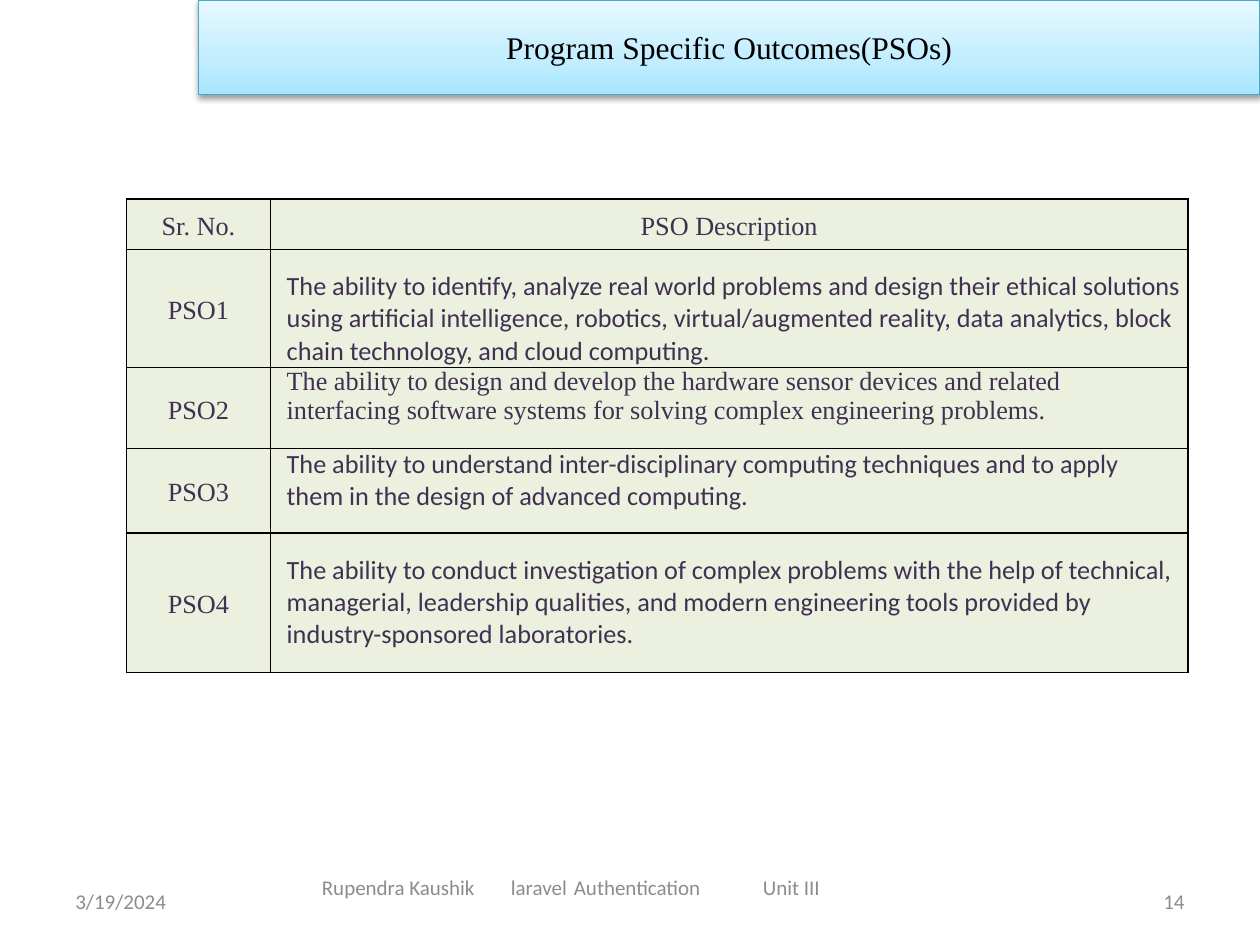
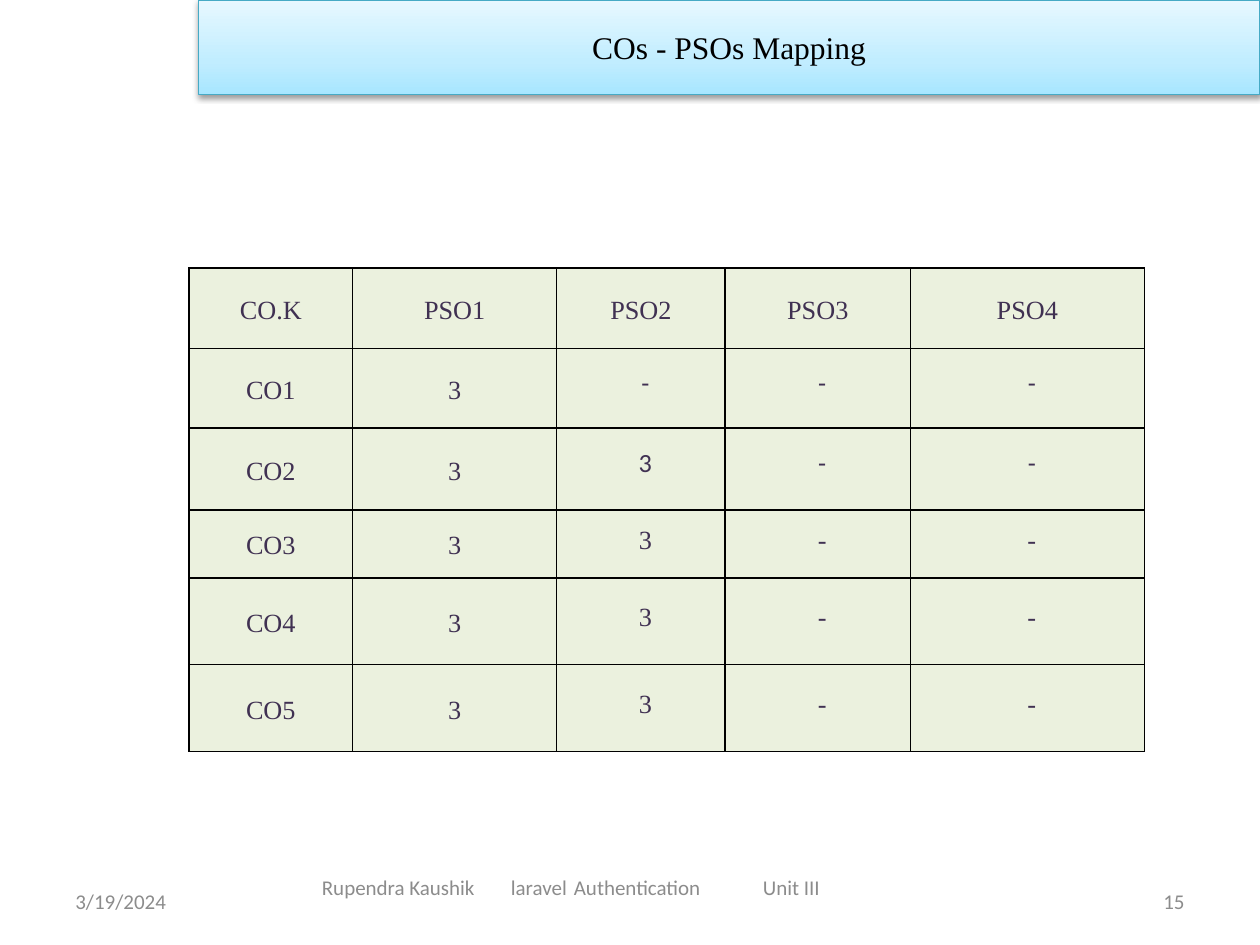
from copy import deepcopy

from lxml.etree import SubElement
from pptx import Presentation
from pptx.dml.color import RGBColor
from pptx.enum.shapes import MSO_SHAPE
from pptx.enum.text import MSO_ANCHOR, PP_ALIGN
from pptx.oxml.ns import qn
from pptx.util import Cm, Pt

SERIF, SANS = "Times New Roman", "Calibri"
DATE = "3/19/2024"
FOOTER = "Rupendra Kaushik\tlaravel\tAuthentication\tUnit III"
FOOTER_TABS = (6.59, 8.02, 12.66)

OUTCOMES_TITLE = "Program Specific Outcomes(PSOs)"
OUTCOMES_HEADER = ("Sr. No.", "PSO Description")
OUTCOMES = [
    ("PSO1", "The ability to identify, analyze real world problems and design their ethical "
     "solutions using artificial intelligence, robotics, virtual/augmented reality, "
     "data analytics, block chain technology, and cloud computing.", SANS, 0.43),
    ("PSO2", "The ability to design and develop the hardware sensor devices and related "
     "interfacing software systems for solving complex engineering problems.", SERIF, 0),
    ("PSO3", "The ability to understand inter-disciplinary computing techniques and to apply "
     "them in the design of advanced computing.", SANS, 0),
    ("PSO4", "The ability to conduct investigation of complex problems with the help of "
     "technical, managerial, leadership qualities, and modern engineering tools provided by "
     "industry-sponsored laboratories.", SANS, 0.43),
]
OUTCOMES_COLUMNS = (2.9, 18.5)
OUTCOMES_ROWS = (1.02, 2.38, 1.63, 1.7, 2.82)

MAPPING_TITLE = "COs - PSOs Mapping"
MAPPING_HEADER = ("CO.K", "PSO1", "PSO2", "PSO3", "PSO4")
MAPPING = [
    ("CO1", "3", "-", "-", "-"),
    ("CO2", "3", "3", "-", "-"),
    ("CO3", "3", "3", "-", "-"),
    ("CO4", "3", "3", "-", "-"),
    ("CO5", "3", "3", "-", "-"),
]
MAPPING_SANS_ROWS = ("CO1", "CO2")
MAPPING_COLUMNS = (3.3, 4.11, 3.4, 3.73, 4.72)
MAPPING_ROWS = (1.63, 1.6, 1.65, 1.37, 1.75, 1.75)

BLACK = RGBColor(0x00, 0x00, 0x00)
GREY = RGBColor(0x8C, 0x8C, 0x8C)
PURPLE = RGBColor(0x40, 0x31, 0x52)
PALE_GREEN = RGBColor(0xEB, 0xF1, 0xDE)
TEAL = RGBColor(0x46, 0xAA, 0xC5)
BAND_STOPS = (
    (0, RGBColor(0xA7, 0xE6, 0xFF)),
    (0.35, RGBColor(0xC1, 0xED, 0xFF)),
    (1, RGBColor(0xE7, 0xF8, 0xFF)),
)


def write_text(frame, text, *, font=SANS, size=12, color=GREY, align=PP_ALIGN.LEFT,
               spacing=None, indent=0, tabs=()):
    frame.word_wrap = True
    paragraph = frame.paragraphs[0]
    properties = paragraph._p.get_or_add_pPr()
    properties.set("marL", str(Cm(indent)))
    properties.set("indent", "0")
    if tabs:
        tab_list = SubElement(properties, qn("a:tabLst"))
        for position in tabs:
            SubElement(tab_list, qn("a:tab"), pos=str(Cm(position)), algn="l")
    paragraph.alignment = align
    paragraph.line_spacing = spacing
    run = paragraph.add_run()
    run.text = text
    run.font.name = font
    run.font.size = Pt(size)
    run.font.color.rgb = color


def add_label(slide, text, left, top, width, height, margin_left=0.25, **text_format):
    frame = slide.shapes.add_textbox(Cm(left), Cm(top), Cm(width), Cm(height)).text_frame
    frame.vertical_anchor = MSO_ANCHOR.MIDDLE
    frame.margin_left = Cm(margin_left)
    write_text(frame, text, **text_format)


def add_title_band(slide, title):
    band = slide.shapes.add_shape(MSO_SHAPE.RECTANGLE, Cm(4), Cm(0), Cm(21.4), Cm(1.91))
    band.fill.gradient()
    band.fill.gradient_angle = 90
    stop_list = band._element.spPr.find(".//" + qn("a:gsLst"))
    stop_list.insert(1, deepcopy(stop_list[0]))
    for stop, (position, color) in zip(band.fill.gradient_stops, BAND_STOPS):
        stop.position = position
        stop.color.rgb = color
    band.line.color.rgb = TEAL
    band.line.width = Pt(0.75)
    band.shadow.inherit = False
    effects = band._element.spPr.find(qn("a:effectLst"))
    shadow = SubElement(effects, qn("a:outerShdw"), blurRad=str(Pt(3.1)),
                        dist=str(Pt(1.6)), dir="5400000", rotWithShape="0")
    shadow_color = SubElement(shadow, qn("a:srgbClr"), val=str(BLACK))
    SubElement(shadow_color, qn("a:alpha"), val="38000")
    band.text_frame.vertical_anchor = MSO_ANCHOR.MIDDLE
    write_text(band.text_frame, title, font=SERIF, size=18, color=BLACK,
               align=PP_ALIGN.CENTER)


def add_page(presentation, title, number):
    slide = presentation.slides.add_slide(presentation.slide_layouts[6])
    add_title_band(slide, title)
    add_label(slide, DATE, 1.27, 17.65, 5.92, 1.02)
    add_label(slide, str(number), 18.21, 17.65, 5.92, 1.02, align=PP_ALIGN.RIGHT)
    add_label(slide, FOOTER, 5.59, 17.5, 15.67, 0.76, margin_left=0.9, tabs=FOOTER_TABS)
    return slide


def add_grid(slide, left, top, columns, rows):
    table = slide.shapes.add_table(len(rows), len(columns), Cm(left), Cm(top),
                                   Cm(sum(columns)), Cm(sum(rows))).table
    table.first_row = table.horz_banding = False
    for column, width in zip(table.columns, columns):
        column.width = Cm(width)
    for row, height in zip(table.rows, rows):
        row.height = Cm(height)
    return table


def fill_cell(cell, text, *, anchor=MSO_ANCHOR.MIDDLE, margin_top=0, font=SERIF,
              align=PP_ALIGN.CENTER, spacing=1.15, indent=0):
    cell.margin_left = cell.margin_right = Cm(0.15)
    cell.margin_top, cell.margin_bottom = Cm(margin_top), Cm(0)
    cell.vertical_anchor = anchor
    properties = cell._tc.get_or_add_tcPr()
    for side in ("lnL", "lnR", "lnT", "lnB"):
        border = SubElement(properties, qn("a:" + side), w=str(Pt(1)))
        SubElement(SubElement(border, qn("a:solidFill")), qn("a:srgbClr"), val=str(BLACK))
    cell.fill.solid()
    cell.fill.fore_color.rgb = PALE_GREEN
    write_text(cell.text_frame, text, font=font, size=15, color=PURPLE, align=align,
               spacing=spacing, indent=indent)


def fill_header(table, header):
    for column, text in enumerate(header):
        fill_cell(table.cell(0, column), text)


def add_outcomes_slide(presentation):
    slide = add_page(presentation, OUTCOMES_TITLE, 14)
    table = add_grid(slide, 2.55, 4.01, OUTCOMES_COLUMNS, OUTCOMES_ROWS)
    fill_header(table, OUTCOMES_HEADER)
    for row, (code, description, font, margin_top) in enumerate(OUTCOMES, start=1):
        fill_cell(table.cell(row, 0), code)
        fill_cell(table.cell(row, 1), description, anchor=MSO_ANCHOR.TOP,
                  margin_top=margin_top, font=font, align=PP_ALIGN.LEFT,
                  spacing=None, indent=0.18)


def add_mapping_slide(presentation):
    slide = add_page(presentation, MAPPING_TITLE, 15)
    table = add_grid(slide, 3.81, 5.4, MAPPING_COLUMNS, MAPPING_ROWS)
    fill_header(table, MAPPING_HEADER)
    for row, levels in enumerate(MAPPING, start=1):
        font = SANS if levels[0] in MAPPING_SANS_ROWS else SERIF
        for column, text in enumerate(levels):
            if column < 2:
                fill_cell(table.cell(row, column), text)
            else:
                fill_cell(table.cell(row, column), text, font=font,
                          spacing=Pt(12.3), indent=0.18)


def main():
    presentation = Presentation()
    presentation.slide_width, presentation.slide_height = Cm(25.4), Cm(19.05)
    add_outcomes_slide(presentation)
    add_mapping_slide(presentation)
    presentation.save("out.pptx")


if __name__ == "__main__":
    main()
